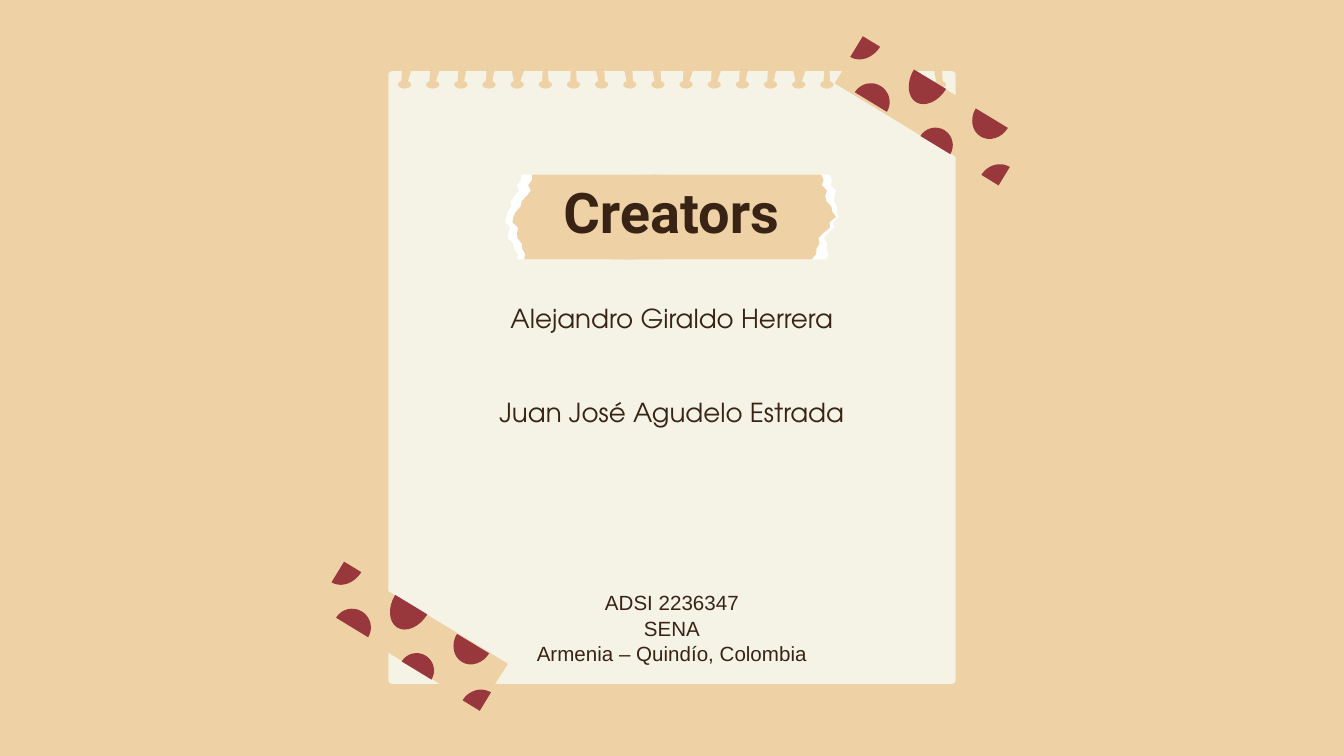
"""Build the credits slide: a notepad sheet with a torn title label and dotted tape."""
import math

from pptx import Presentation, util as u
from pptx.dml.color import RGBColor
from pptx.enum import text

SAND, PAPER, WHITE, WINE, BROWN = "EED2A5", "F5F3E5", "FFFFFF", "98383D", "382315"

TITLE = "Creators"
TITLE_BOX = (3.51, 1.22, 2.97, 0.61)
CREDITS_BOX = (3.36, 2.15, 3.28, 2)
TITLE_STYLE = ("Roboto", 30, None)
NAME_STYLE = ("TeX Gyre Adventor", 14, 16.8)
PLACE_STYLE = ("Arial", 11, 13.4)
CREDITS = [
    ("Alejandro Giraldo Herrera", NAME_STYLE, 0),
    ("Juan José Agudelo Estrada", NAME_STYLE, 33.6),
    ("ADSI 2236347", PLACE_STYLE, 87),
    ("SENA", PLACE_STYLE, 0),
    ("Armenia – Quindío, Colombia", PLACE_STYLE, 0),
]

SHEET = (2.89, 0.53, 7.11, 5.09)
FIRST_HOLE, LAST_HOLE = 3.01, 6.99
SLIT_GROUPS = [(2, -0.02, 0.05), (2, -0.02, 0.04), (1, -0.04, 0.05),
               (2, -0.02, 0.02), (3, -0.04, 0.02)]

LABEL_TOP, LABEL_BOTTOM = 1.3, 1.93
TEAR_STEPS = 4
TEAR_JITTER = [0, 0.01, -0.01, 0.02, 0, -0.01, 0.01]
LABEL = [
    (WHITE, (4.72, 4.64), [3.88, 3.83, 3.76, 3.79, 3.86]),
    (WHITE, (4.98, 4.94), [6.17, 6.21, 6.23, 6.14, 6.16]),
    (SAND, (4.86, 4.57), [6.11, 6.14, 6.21, 6.1, 6.05]),
    (SAND, (4.89, 4.75), [3.96, 3.92, 3.81, 3.86, 3.91]),
]

TAPE_SHIFTS = [(0, 0), (3.86, -3.91)]
TAPE_ANGLE = math.radians(31.3)
TAPE_STRIP = [(3.57, 5.27), (3.78, 4.94), (2.56, 4.2), (2.35, 4.53)]
TAPE_DOTS = [
    ((3.57, 5.29), 0.15, 0.16, 180, 270),
    ((3.52, 4.79), 0.14, 0.16, 0, 180),
    ((3.1, 4.99), 0.13, 0.13, 180, 360),
    ((3.06, 4.5), 0.14, 0.2, 0, 180),
    ((2.62, 4.67), 0.14, 0.14, 180, 360),
    ((2.56, 4.18), 0.15, 0.18, 0, 90),
]


def inch(value):
    return u.Cm(value * 2.54)


def color(code):
    return RGBColor.from_string(code)


def arc(center, across, along, start, end, tilt=0.0, steps=16):
    points = []
    for step in range(steps + 1):
        angle = math.radians(start + (end - start) * step / steps)
        x, y = across * math.cos(angle), along * math.sin(angle)
        points.append((center[0] + x * math.cos(tilt) - y * math.sin(tilt),
                       center[1] + x * math.sin(tilt) + y * math.cos(tilt)))
    return points


def draw(slide, fill, outline, shift=(0, 0)):
    points = [(inch(x + shift[0]), inch(y + shift[1])) for x, y in outline]
    builder = slide.shapes.build_freeform(*points[0], scale=1.0)
    builder.add_line_segments(points[1:], close=True)
    shape = builder.convert_to_shape()
    shape.shadow.inherit = False
    shape.fill.solid()
    shape.fill.fore_color.rgb = color(fill)
    shape.line.fill.background()


def sheet_outline():
    left, top, right, bottom = SHEET
    corner = 0.03
    slits = [slit for count, *slit in SLIT_GROUPS for _ in range(count)] * 2
    pitch = (LAST_HOLE - FIRST_HOLE) / (len(slits) - 1)
    outline = arc((left + corner, top + corner), corner, corner, 180, 270)
    for index, (slit_left, slit_right) in enumerate(slits):
        center = FIRST_HOLE + index * pitch
        outline.append((center + slit_left, top))
        outline += arc((center, top + 0.1), 0.05, 0.03, 240, -60)
        outline.append((center + slit_right, top))
    for x, y, start in [(right - corner, top + corner, 270),
                        (right - corner, bottom - corner, 0),
                        (left + corner, bottom - corner, 90)]:
        outline += arc((x, y), corner, corner, start, start + 90)
    return outline


def label_outline(inner, edge):
    count = (len(edge) - 1) * TEAR_STEPS
    torn = []
    for step in range(count + 1):
        part = min(step // TEAR_STEPS, len(edge) - 2)
        share = step / TEAR_STEPS - part
        x = edge[part] + (edge[part + 1] - edge[part]) * share
        y = LABEL_TOP + (LABEL_BOTTOM - LABEL_TOP) * step / count
        torn.append((x + TEAR_JITTER[step % len(TEAR_JITTER)], y))
    return [(inner[0], LABEL_TOP), *torn, (inner[1], LABEL_BOTTOM)]


def add_text(slide, box, lines):
    frame = slide.shapes.add_textbox(*map(inch, box)).text_frame
    frame.word_wrap = True
    frame.vertical_anchor = text.MSO_ANCHOR.TOP
    frame.margin_left = frame.margin_right = frame.margin_top = frame.margin_bottom = inch(0.1)
    frame.text = "\n".join(line for line, _, _ in lines)
    for paragraph, (_, (font, size, spacing), gap) in zip(frame.paragraphs, lines):
        paragraph.alignment = text.PP_ALIGN.CENTER
        if spacing:
            paragraph.line_spacing = u.Pt(spacing)
        paragraph.space_before = u.Pt(gap)
        run = paragraph.runs[0]
        run.font.name, run.font.size = font, u.Pt(size)
        run.font.bold = font == "Roboto"
        run.font.color.rgb = color(BROWN)


def main():
    deck = Presentation()
    deck.slide_width, deck.slide_height = u.Cm(25.4), u.Cm(14.29)
    slide = deck.slides.add_slide(deck.slide_layouts[6])
    slide.background.fill.solid()
    slide.background.fill.fore_color.rgb = color(SAND)

    draw(slide, PAPER, sheet_outline())
    for fill, inner, edge in LABEL:
        draw(slide, fill, label_outline(inner, edge))
    add_text(slide, CREDITS_BOX, CREDITS)
    add_text(slide, TITLE_BOX, [(TITLE, TITLE_STYLE, 0)])
    for shift in TAPE_SHIFTS:
        draw(slide, SAND, TAPE_STRIP, shift)
        for center, *sweep in TAPE_DOTS:
            draw(slide, WINE, [center, *arc(center, *sweep, tilt=TAPE_ANGLE)], shift)
    deck.save("out.pptx")


if __name__ == "__main__":
    main()
